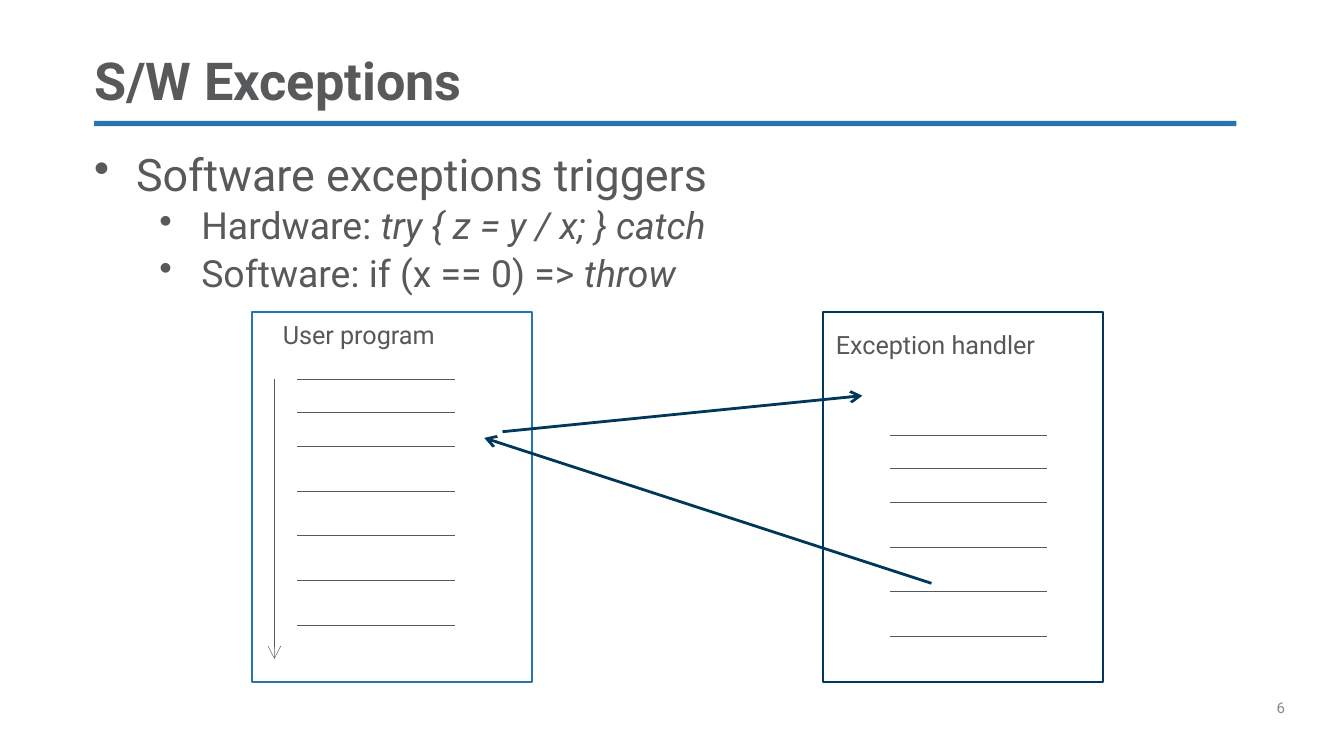
"""Build the slide on software exceptions."""
import dataclasses
import itertools
import typing

import lxml.etree
import pptx
import pptx.dml.color
import pptx.enum.shapes
import pptx.enum.text
import pptx.oxml.ns
import pptx.shapes.autoshape
import pptx.shapes.connector
import pptx.slide
import pptx.util

Pt = pptx.util.Pt
Slide = pptx.slide.Slide


@dataclasses.dataclass(frozen=True)
class Theme:
    font: str = "Roboto"
    text: str = "58595B"
    diagram: str = "57585B"
    muted: str = "898989"
    blue: str = "2774AE"
    navy: str = "00375B"
    white: str = "FFFFFF"
    title_size: float = 28
    body_size: float = 24
    detail_size: float = 20
    label_size: float = 13.5
    number_size: float = 8
    hairline: float = 0.25
    outline: float = 1
    jump: float = 1.5


class Area(typing.NamedTuple):
    left: float
    top: float
    width: float
    height: float


class Point(typing.NamedTuple):
    x: float
    y: float


@dataclasses.dataclass(frozen=True)
class Bullet:
    plain: str
    italic: str
    size: float
    indent: float
    line_spacing: float
    space_before: float


@dataclasses.dataclass(frozen=True)
class Program:
    label: str
    colour: str
    box: Area
    label_area: Area
    code_start: Point
    code_gaps: tuple[float, ...]


THEME = Theme()
HANGING = 22.5
CODE_WIDTH = 84.3
TITLE_AREA = Area(50.4, 28.8, 612, 31)
RULE_AREA = Area(50.4, 64.8, 612, 2.9)
BODY_AREA = Area(50.4, 78.5, 612, 80.6)
NUMBER_AREA = Area(684, 374.4, 36, 28.8)
BULLETS = (
    Bullet("Software exceptions triggers", "", THEME.body_size, 22.5, 1, 0),
    Bullet("Hardware: ", "try { z = y / x; } catch", THEME.detail_size, 57.5, 0.9, 3.8),
    Bullet("Software: if (x == 0) => ", "throw", THEME.detail_size, 57.5, 0.9, 3.8),
)
PROGRAMS = (
    Program("User program", THEME.blue, Area(135.2, 167.3, 150, 198),
            Area(144.5, 167.3, 134.6, 28.8), Point(159.2, 203), (18, 18, 24, 24, 24, 24)),
    Program("Exception handler", THEME.navy, Area(440.8, 167.3, 150, 198),
            Area(440.8, 173, 144, 23.8), Point(476.7, 233), (18, 18, 24, 24, 24)),
)
EXECUTION = (Point(147, 203), Point(147, 353))
JUMPS = (
    (Point(499, 312.5), Point(259.4, 234.6)),
    (Point(269.2, 231.3), Point(462, 212)),
)


def rgb(colour: str) -> pptx.dml.color.RGBColor:
    """Turn a hexadecimal string into a colour."""
    return pptx.dml.color.RGBColor.from_string(colour)


def style_font(paragraph, size: float, colour: str, bold: bool = False) -> None:
    """Set the font shared by all runs of a paragraph."""
    font = paragraph.font
    font.name, font.size, font.bold = THEME.font, Pt(size), bold
    font.color.rgb = rgb(colour)


def add_rectangle(slide: Slide, area: Area, fill: str,
                  outline: str | None = None) -> pptx.shapes.autoshape.Shape:
    """Draw a filled rectangle, outlined if a colour is given."""
    shape = slide.shapes.add_shape(pptx.enum.shapes.MSO_SHAPE.RECTANGLE, *map(Pt, area))
    shape.shadow.inherit = False
    shape.fill.solid()
    shape.fill.fore_color.rgb = rgb(fill)
    if outline:
        shape.line.color.rgb = rgb(outline)
        shape.line.width = Pt(THEME.outline)
    else:
        shape.line.fill.background()
    return shape


def add_text_frame(slide: Slide, area: Area, padded: bool = False):
    """Add a wrapping text box and return its frame."""
    frame = slide.shapes.add_textbox(*map(Pt, area)).text_frame
    frame.word_wrap = True
    if not padded:
        frame.margin_left = frame.margin_right = frame.margin_top = frame.margin_bottom = 0
    return frame


def add_line(slide: Slide, start: Point, end: Point, colour: str, width: float,
             arrow: bool = False) -> pptx.shapes.connector.Connector:
    """Draw a straight line, with an arrowhead at its end if asked."""
    connector = slide.shapes.add_connector(
        pptx.enum.shapes.MSO_CONNECTOR.STRAIGHT, *map(Pt, (*start, *end)))
    connector.line.color.rgb = rgb(colour)
    connector.line.width = Pt(width)
    if arrow:
        lxml.etree.SubElement(connector.line._get_or_add_ln(),
                              pptx.oxml.ns.qn("a:tailEnd"), type="arrow")
    lxml.etree.SubElement(connector._element.spPr, pptx.oxml.ns.qn("a:effectLst"))
    return connector


def add_bullets(slide: Slide, area: Area, bullets: tuple[Bullet, ...]) -> None:
    """Write the bulleted list."""
    frame = add_text_frame(slide, area)
    for index, bullet in enumerate(bullets):
        paragraph = frame.add_paragraph() if index else frame.paragraphs[0]
        properties = paragraph._p.get_or_add_pPr()
        properties.set("marL", str(Pt(bullet.indent)))
        properties.set("indent", str(-Pt(HANGING)))
        lxml.etree.SubElement(properties, pptx.oxml.ns.qn("a:buChar"), char="•")
        paragraph.line_spacing = bullet.line_spacing
        paragraph.space_before = Pt(bullet.space_before)
        style_font(paragraph, bullet.size, THEME.text)
        paragraph.add_run().text = bullet.plain
        if bullet.italic:
            run = paragraph.add_run()
            run.text = bullet.italic
            run.font.italic = True


def add_label(slide: Slide, area: Area, text: str, size: float, colour: str,
              padded: bool = False) -> None:
    """Write one plain line of text."""
    paragraph = add_text_frame(slide, area, padded).paragraphs[0]
    paragraph.text = text
    style_font(paragraph, size, colour)


def add_program(slide: Slide, program: Program) -> None:
    """Draw a program box with its label and lines of code."""
    add_rectangle(slide, program.box, THEME.white, program.colour)
    add_label(slide, program.label_area, program.label, THEME.label_size,
              THEME.diagram, padded=True)
    left, top = program.code_start
    for y in itertools.accumulate(program.code_gaps, initial=top):
        add_line(slide, Point(left, y), Point(left + CODE_WIDTH, y),
                 THEME.diagram, THEME.hairline)


def add_title(slide: Slide, text: str) -> None:
    """Write the title above its rule."""
    add_rectangle(slide, RULE_AREA, THEME.blue)
    frame = add_text_frame(slide, TITLE_AREA)
    frame.vertical_anchor = pptx.enum.text.MSO_ANCHOR.BOTTOM
    paragraph = frame.paragraphs[0]
    paragraph.text = text
    paragraph.line_spacing = 0.9
    style_font(paragraph, THEME.title_size, THEME.text, bold=True)


def main() -> None:
    """Build and save the presentation."""
    presentation = pptx.Presentation()
    presentation.slide_width, presentation.slide_height = Pt(720), Pt(405)
    slide = presentation.slides.add_slide(presentation.slide_layouts[6])
    add_title(slide, "S/W Exceptions")
    add_label(slide, NUMBER_AREA, "6", THEME.number_size, THEME.muted)
    add_bullets(slide, BODY_AREA, BULLETS)
    for program in PROGRAMS:
        add_program(slide, program)
    add_line(slide, *EXECUTION, THEME.diagram, THEME.hairline, arrow=True)
    for start, end in JUMPS:
        add_line(slide, start, end, THEME.navy, THEME.jump, arrow=True)
    presentation.save("out.pptx")


if __name__ == "__main__":
    main()
